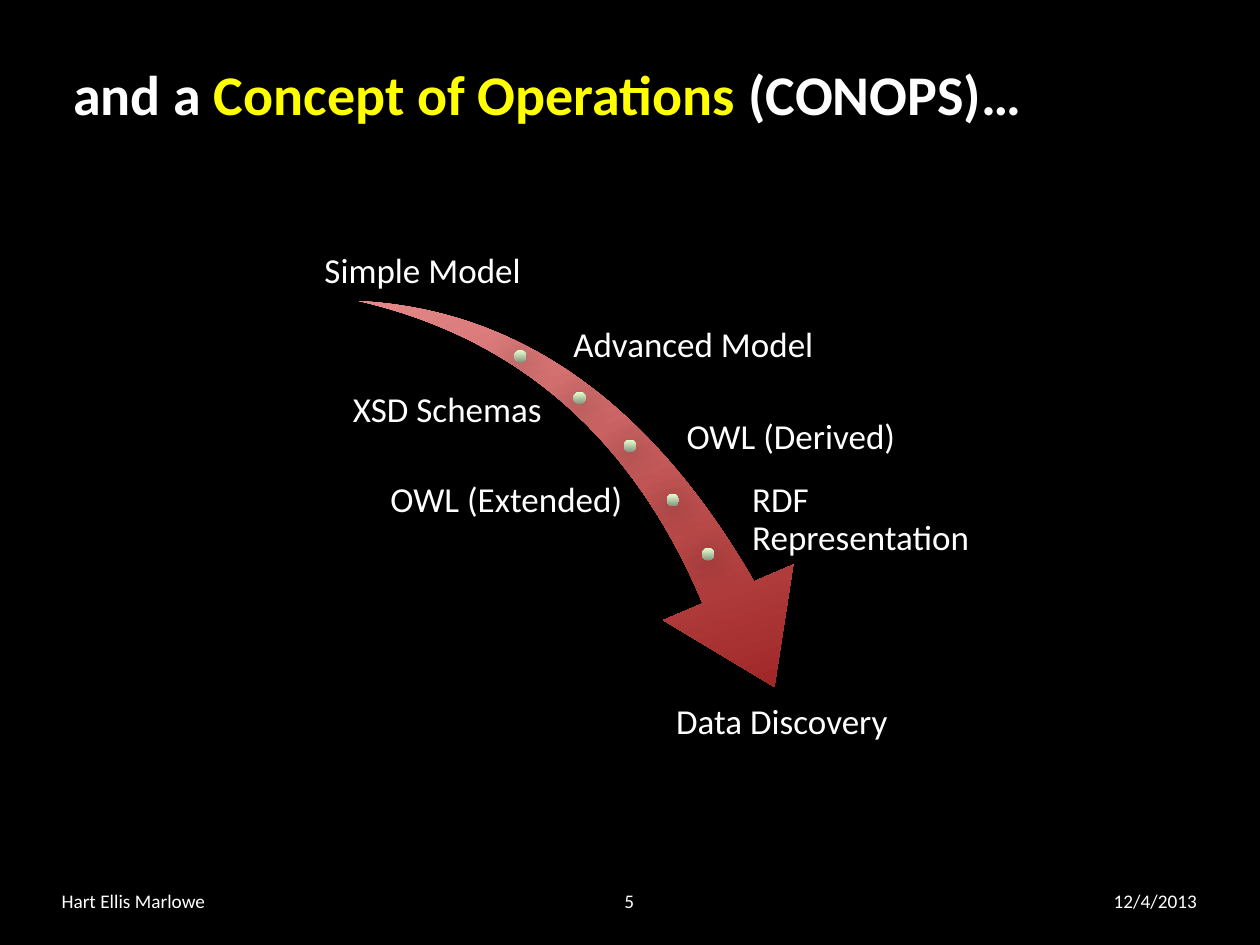
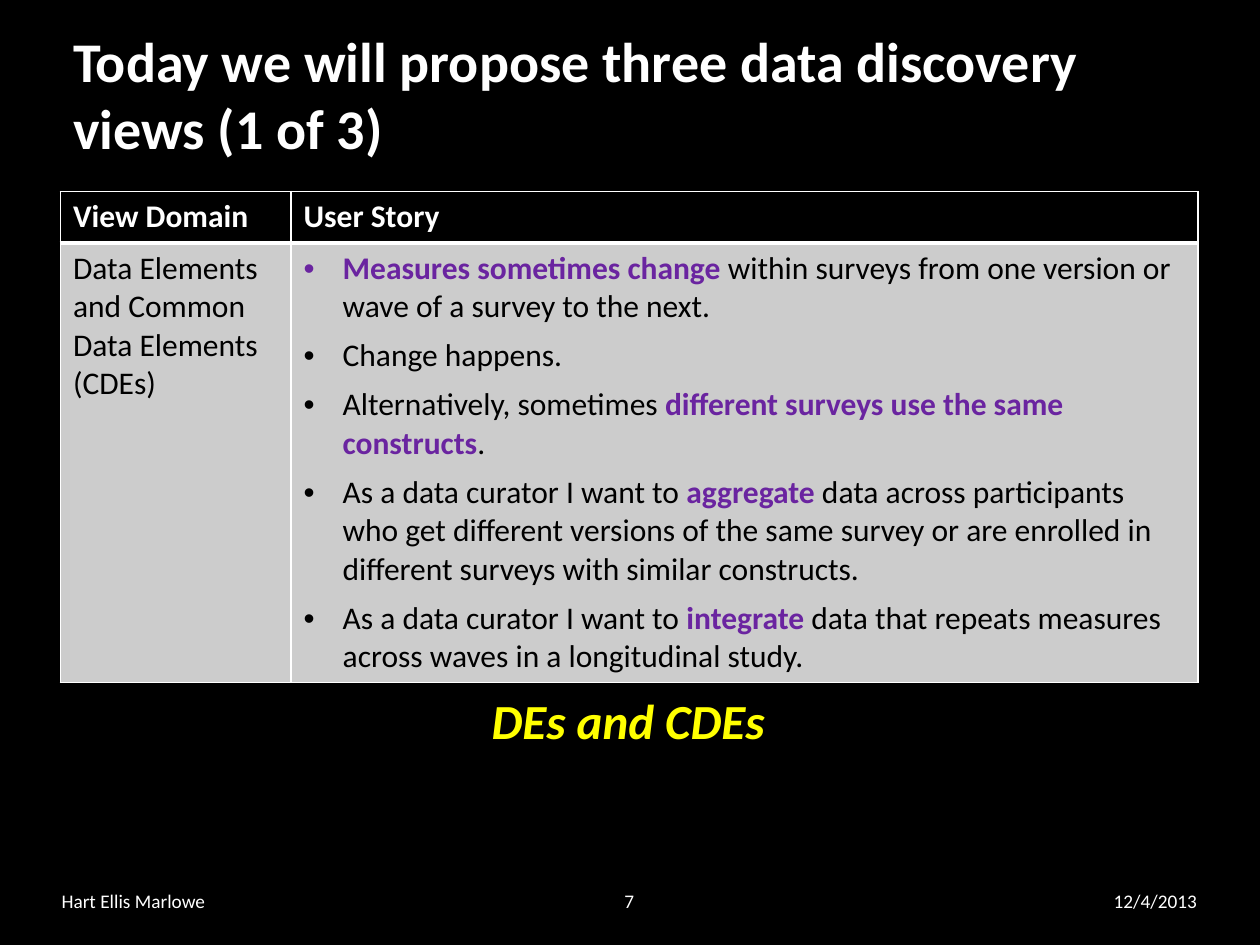
from lxml import etree
from pptx import Presentation
from pptx.dml.color import RGBColor
from pptx.enum.shapes import MSO_SHAPE
from pptx.enum.text import MSO_ANCHOR, MSO_AUTO_SIZE, PP_ALIGN
from pptx.oxml.ns import qn
from pptx.util import Inches, Pt

LEFT, CENTER, RIGHT = PP_ALIGN.LEFT, PP_ALIGN.CENTER, PP_ALIGN.RIGHT
TOP, MIDDLE, BOTTOM = MSO_ANCHOR.TOP, MSO_ANCHOR.MIDDLE, MSO_ANCHOR.BOTTOM
ARROW, DOT = MSO_SHAPE.SWOOSH_ARROW, MSO_SHAPE.OVAL

# Shared look
WIDTH, HEIGHT = 10, 7.5
FONT = "Calibri"
COLORS = {
    "black": "000000", "white": "FFFFFF", "yellow": "FFFF00",
    "purple": "6A24A0", "gray": "CCCCCC",
}
ARROW_STOPS = [(0, "F19B9B"), (100, "941414")]
DOT_STOPS = [(0, "849179"), (80, "D5EAC3"), (100, "E1FFCA")]
TITLE_BOX = (0.48, 0.12, 9.03, 1.24)
FOOTER_TOP, FOOTER_HEIGHT = 6.95, 0.4
YELLOW = {"color": "yellow"}
KEY = {"color": "purple", "bold": True}

# Content: a paragraph is a list of spans, a span is text or (text, format)
COMPANY, DATE = "Hart Ellis Marlowe", "12/4/2013"

CONOPS_TITLE = ["and a ", ("Concept of Operations ", YELLOW), "(CONOPS)…"]
ARROW_BOX, ARROW_TURN, ARROW_SHAPE = (2.76, 2.51, 3.88, 2.7), 73.3, (0.163, 0.314)
DOT_SIZE = 0.1
DOTS = [(4.08, 2.78), (4.55, 3.11), (4.95, 3.49), (5.29, 3.92), (5.57, 4.35)]
STAGE_HEIGHT = 0.72
STAGES = [  # text, left, top, width, alignment, anchor
    ("Simple Model", 2.44, 1.62, 1.83, CENTER, BOTTOM),
    ("Advanced Model", 4.52, 2.39, 2.77, LEFT, MIDDLE),
    ("XSD Schemas", 2.3, 2.9, 2.03, RIGHT, MIDDLE),
    ("OWL (Derived)", 5.42, 3.12, 1.93, LEFT, MIDDLE),
    ("OWL (Extended)", 2.5, 3.62, 2.47, RIGHT, MIDDLE),
    ("RDF Representation", 5.94, 3.77, 1.93, LEFT, MIDDLE),
    ("Data Discovery", 4.97, 5.56, 2.47, CENTER, TOP),
]

VIEWS_TITLE = ["Today we will propose three data discovery views (1 of 3)"]
VIEWS_HEADER = ["View Domain", "User Story"]
VIEW_DOMAIN = "Data Elements and Common Data Elements (CDEs)"
USER_STORIES = [
    [("Measures sometimes change ", KEY),
     "within surveys from one version or wave of a survey to the next."],
    ["Change happens."],
    ["Alternatively, sometimes ",
     ("different surveys use the same constructs", KEY), "."],
    ["As a data curator I want to ", ("aggregate", KEY),
     " data across participants who get different versions of the same survey"
     " or are enrolled in different surveys with similar constructs."],
    ["As a data curator I want to ", ("integrate ", KEY),
     "data that repeats measures across waves in a longitudinal study."],
]
TABLE_LEFT, TABLE_TOP = 0.48, 1.52
COLUMN_WIDTHS, ROW_HEIGHTS = [1.83, 7.2], [0.41, 3.43]
CAPTION, CAPTION_BOX = "DEs and CDEs", (3.35, 5.43, 3.27, 0.57)


def rgb(name):
    return RGBColor.from_string(COLORS[name])


def add_bullet(para, indent):
    properties = para._p.get_or_add_pPr()
    properties.set("marL", str(Inches(indent)))
    properties.set("indent", str(-Inches(indent)))
    etree.SubElement(properties, qn("a:buFont"), typeface="Arial")
    etree.SubElement(properties, qn("a:buChar"), char="•")


def write(frame, paragraphs, size=18, color="white", bold=False, italic=False,
          align=LEFT, line_spacing=None, gap=0, bullet_indent=0):
    """Fill a text frame; spans may override the colour and weight."""
    for index, spans in enumerate(paragraphs):
        para = frame.add_paragraph() if index else frame.paragraphs[0]
        para.alignment = align
        if line_spacing:
            para.line_spacing = line_spacing
        if index and gap:
            para.space_before = Pt(gap)
        if bullet_indent:
            add_bullet(para, bullet_indent)
        for span in spans:
            text, override = (span, {}) if isinstance(span, str) else span
            run = para.add_run()
            run.text = text
            run.font.name, run.font.size = FONT, Pt(size)
            run.font.bold = override.get("bold", bold)
            run.font.italic = italic
            run.font.color.rgb = rgb(override.get("color", color))


def add_text(page, text, box, anchor=MIDDLE, margin=None, **text_format):
    frame = page.shapes.add_textbox(*map(Inches, box)).text_frame
    frame.word_wrap = True
    frame.auto_size = MSO_AUTO_SIZE.NONE
    frame.vertical_anchor = anchor
    if margin is not None:
        frame.margin_left = frame.margin_right = Inches(margin)
        frame.margin_top = frame.margin_bottom = Inches(margin)
    write(frame, [[text]], **text_format)


def add_page(deck, title, number):
    page = deck.slides.add_slide(deck.slide_layouts.get_by_name("Title Only"))
    holder = page.shapes.title
    holder.left, holder.top, holder.width, holder.height = map(Inches, TITLE_BOX)
    holder.text_frame.vertical_anchor = MIDDLE
    write(holder.text_frame, [title], size=32, bold=True)
    footers = [(COMPANY, 0.39, 3.17, LEFT), (str(number), 4.58, 0.83, CENTER),
               (DATE, 7.27, 2.33, RIGHT)]
    for text, left, width, align in footers:
        add_text(page, text, (left, FOOTER_TOP, width, FOOTER_HEIGHT),
                 size=11, align=align)
    return page


def add_glossy(page, kind, box, stops, angle):
    """Add a shape with a gradient fill and a soft shadow below it."""
    shape = page.shapes.add_shape(kind, *map(Inches, box))
    shape.line.fill.background()
    shape.fill.gradient()
    shape.fill.gradient_angle = angle
    properties = shape._element.spPr
    stop_list = properties.find(qn("a:gradFill")).find(qn("a:gsLst"))
    for stop in list(stop_list):
        stop_list.remove(stop)
    for position, color in stops:
        stop = etree.SubElement(stop_list, qn("a:gs"), pos=str(position * 1000))
        etree.SubElement(stop, qn("a:srgbClr"), val=color)
    shape.shadow.inherit = False
    shadow = etree.SubElement(
        properties.find(qn("a:effectLst")), qn("a:outerShdw"),
        blurRad=str(Pt(18)), dist=str(Pt(3)), dir="5400000", rotWithShape="0")
    tint = etree.SubElement(shadow, qn("a:srgbClr"), val=COLORS["black"])
    etree.SubElement(tint, qn("a:alpha"), val="80000")
    return shape


def format_cell(cell, fill, bottom=1):
    properties = cell._tc.get_or_add_tcPr()
    for side, weight in [("L", 1), ("R", 1), ("T", 1), ("B", bottom)]:
        line = etree.SubElement(properties, qn(f"a:ln{side}"), w=str(Pt(weight)))
        paint = etree.SubElement(line, qn("a:solidFill"))
        etree.SubElement(paint, qn("a:srgbClr"), val=COLORS["white"])
    cell.fill.solid()
    cell.fill.fore_color.rgb = rgb(fill)


def build_conops(deck):
    page = add_page(deck, CONOPS_TITLE, 5)
    arrow = add_glossy(page, ARROW, ARROW_BOX, ARROW_STOPS, 0)
    arrow.rotation = ARROW_TURN
    for index, value in enumerate(ARROW_SHAPE):
        arrow.adjustments[index] = value
    for left, top in DOTS:
        add_glossy(page, DOT, (left, top, DOT_SIZE, DOT_SIZE), DOT_STOPS, 90)
    for text, left, top, width, align, anchor in STAGES:
        add_text(page, text, (left, top, width, STAGE_HEIGHT), anchor=anchor,
                 margin=0.03, size=20, align=align, line_spacing=0.9)


def build_views(deck):
    page = add_page(deck, VIEWS_TITLE, 7)
    box = (TABLE_LEFT, TABLE_TOP, sum(COLUMN_WIDTHS), sum(ROW_HEIGHTS))
    table = page.shapes.add_table(2, 2, *map(Inches, box)).table
    for column, width in zip(table.columns, COLUMN_WIDTHS):
        column.width = Inches(width)
    for row, height in zip(table.rows, ROW_HEIGHTS):
        row.height = Inches(height)
    for index, text in enumerate(VIEWS_HEADER):
        format_cell(table.cell(0, index), "black", bottom=3)
        format_cell(table.cell(1, index), "gray")
        write(table.cell(0, index).text_frame, [[text]], bold=True)
    write(table.cell(1, 0).text_frame, [[VIEW_DOMAIN]], color="black")
    write(table.cell(1, 1).text_frame, USER_STORIES, color="black", gap=6,
          bullet_indent=0.31)
    add_text(page, CAPTION, CAPTION_BOX, anchor=TOP, size=28, color="yellow",
             bold=True, italic=True, align=CENTER)


def main():
    deck = Presentation()
    deck.slide_width, deck.slide_height = Inches(WIDTH), Inches(HEIGHT)
    background = deck.slide_master.background.fill
    background.solid()
    background.fore_color.rgb = rgb("black")
    build_conops(deck)
    build_views(deck)
    deck.save("out.pptx")


if __name__ == "__main__":
    main()
